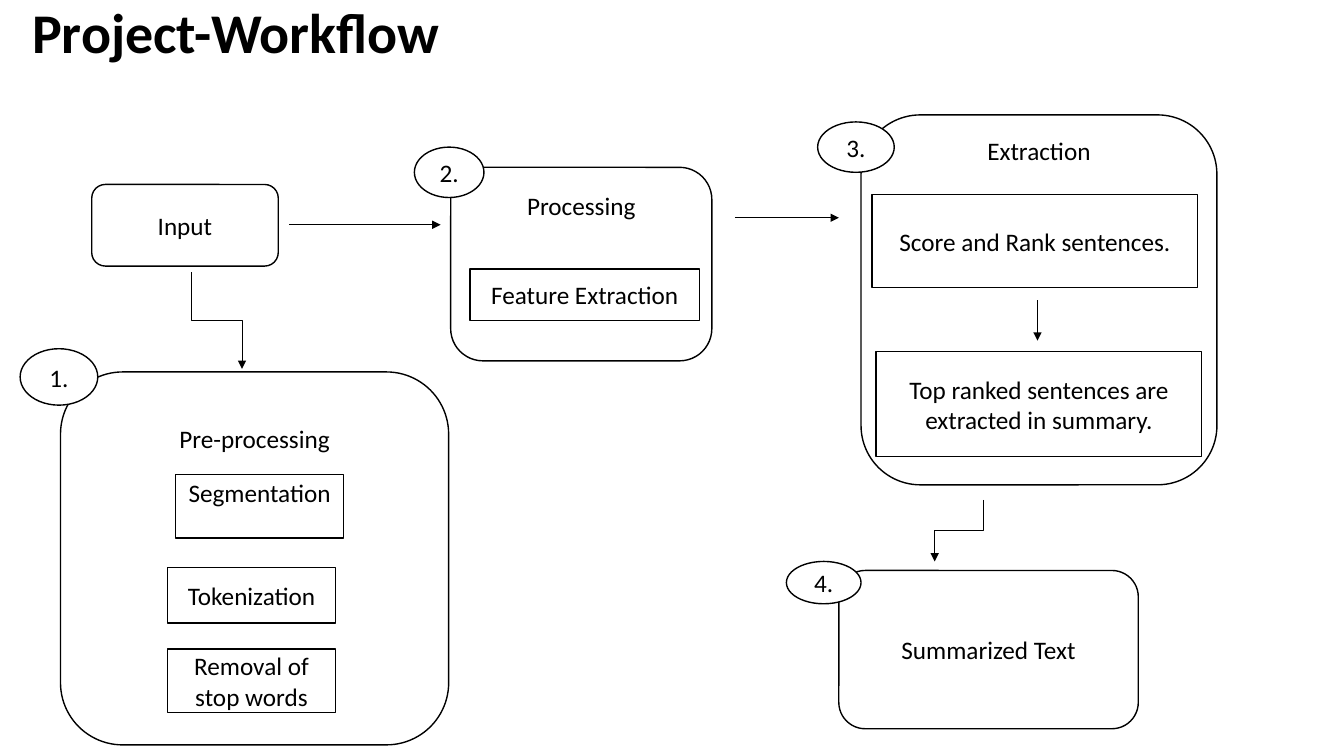
"""Build the Project-Workflow slide: input, four numbered stages and the arrows between them."""
from lxml.etree import SubElement
from pptx import Presentation
from pptx.dml.color import RGBColor
from pptx.enum.shapes import MSO_CONNECTOR, MSO_SHAPE
from pptx.enum.text import MSO_ANCHOR, PP_ALIGN
from pptx.oxml.ns import qn
from pptx.util import Pt

PX = 9144
SLIDE_SIZE = (1333, 750)
FONT = "Calibri"
COLORS = {"ink": "000000", "paper": "FFFFFF"}

TITLE = ("Project-Workflow", (22, 0, 1242, 75))

# (text, (left, top, width, height), top margin of a heading or None when centred)
STAGES = [
    ("Input", (91, 183, 185, 81), None),
    ("Pre-processing", (60, 369, 385, 370), 33),
    ("Processing", (447, 166, 259, 192), 13),
    ("Extraction", (854, 114, 353, 367), 3),
    ("Summarized Text", (832, 566, 297, 157), None),
]
STEPS = [
    ("Segmentation", (174, 471, 167, 63), 3),
    ("Tokenization", (166, 563, 167, 55), None),
    ("Removal of stop words", (166, 644, 167, 63), None),
    ("Feature Extraction", (466, 267, 228, 51), None),
    ("Score and Rank sentences.", (865, 193, 323, 92), None),
    ("Top ranked sentences are extracted in summary.", (869, 349, 323, 104), None),
]
BADGES = [
    ("1.", (20, 346, 77, 56), None),
    ("2.", (411, 146, 69, 50), None),
    ("3.", (811, 121, 76, 50), None),
    ("4.", (780, 557, 74, 42), None),
]
ARROWS = [
    ((287, 223), (437, 223)),
    ((729, 216), (832, 216)),
    ((1029, 298), (1029, 338)),
    ((190, 270), (240, 366)),
    ((975, 496), (927, 557)),
]


def emu(lengths):
    return [round(length * PX) for length in lengths]


def color(name):
    return RGBColor.from_string(COLORS[name])


def set_font(paragraph, size, bold=False):
    font = paragraph.font
    font.name, font.size, font.bold = FONT, Pt(size), bold
    font.color.rgb = color("ink")


def add_title(slide, text, box):
    frame = slide.shapes.add_textbox(*emu(box)).text_frame
    frame.word_wrap = True
    frame.text = text
    paragraph = frame.paragraphs[0]
    paragraph.line_spacing = 0.9
    set_font(paragraph, 40, bold=True)


def add_box(slide, kind, text, box, heading_margin):
    shape = slide.shapes.add_shape(kind, *emu(box))
    shape.shadow.inherit = False
    shape.fill.solid()
    shape.fill.fore_color.rgb = color("paper")
    shape.line.color.rgb = color("ink")
    shape.line.width = Pt(1)
    frame = shape.text_frame
    frame.word_wrap = True
    frame.text = text
    frame.vertical_anchor = MSO_ANCHOR.MIDDLE
    if heading_margin is not None:
        frame.vertical_anchor = MSO_ANCHOR.TOP
        frame.margin_top = heading_margin * PX
    if kind == MSO_SHAPE.OVAL:
        frame.margin_left = frame.margin_right = 0
        frame.margin_top = frame.margin_bottom = 0
    paragraph = frame.paragraphs[0]
    paragraph.alignment = PP_ALIGN.CENTER
    set_font(paragraph, 18)


def add_arrow(slide, start, end):
    (x1, y1), (x2, y2) = start, end
    bent = x1 != x2 and y1 != y2
    kind, ends = MSO_CONNECTOR.STRAIGHT, (x1, y1, x2, y2)
    if bent:
        kind = MSO_CONNECTOR.ELBOW
        side = 1 if x2 < x1 else -1
        center_x, center_y = (x1 + x2) / 2, (y1 + y2) / 2
        half_width, half_height = side * (y2 - y1) / 2, abs(x2 - x1) / 2
        ends = (center_x - half_width, center_y - half_height,
                center_x + half_width, center_y + half_height)
    connector = slide.shapes.add_connector(kind, *emu(ends))
    connector.line.color.rgb = color("ink")
    connector.line.width = Pt(0.5)
    properties = connector._element.spPr
    if bent:
        properties.find(qn("a:xfrm")).set("rot", str(side * 90 % 360 * 60000))
    SubElement(properties.find(qn("a:ln")), qn("a:tailEnd"), type="triangle")
    SubElement(properties, qn("a:effectLst"))


def main():
    presentation = Presentation()
    presentation.slide_width, presentation.slide_height = emu(SLIDE_SIZE)
    slide = presentation.slides.add_slide(presentation.slide_layouts[6])
    add_title(slide, *TITLE)
    for kind, boxes in [
        (MSO_SHAPE.FLOWCHART_ALTERNATE_PROCESS, STAGES),
        (MSO_SHAPE.RECTANGLE, STEPS),
        (MSO_SHAPE.OVAL, BADGES),
    ]:
        for box in boxes:
            add_box(slide, kind, *box)
    for arrow in ARROWS:
        add_arrow(slide, *arrow)
    presentation.save("out.pptx")


if __name__ == "__main__":
    main()
